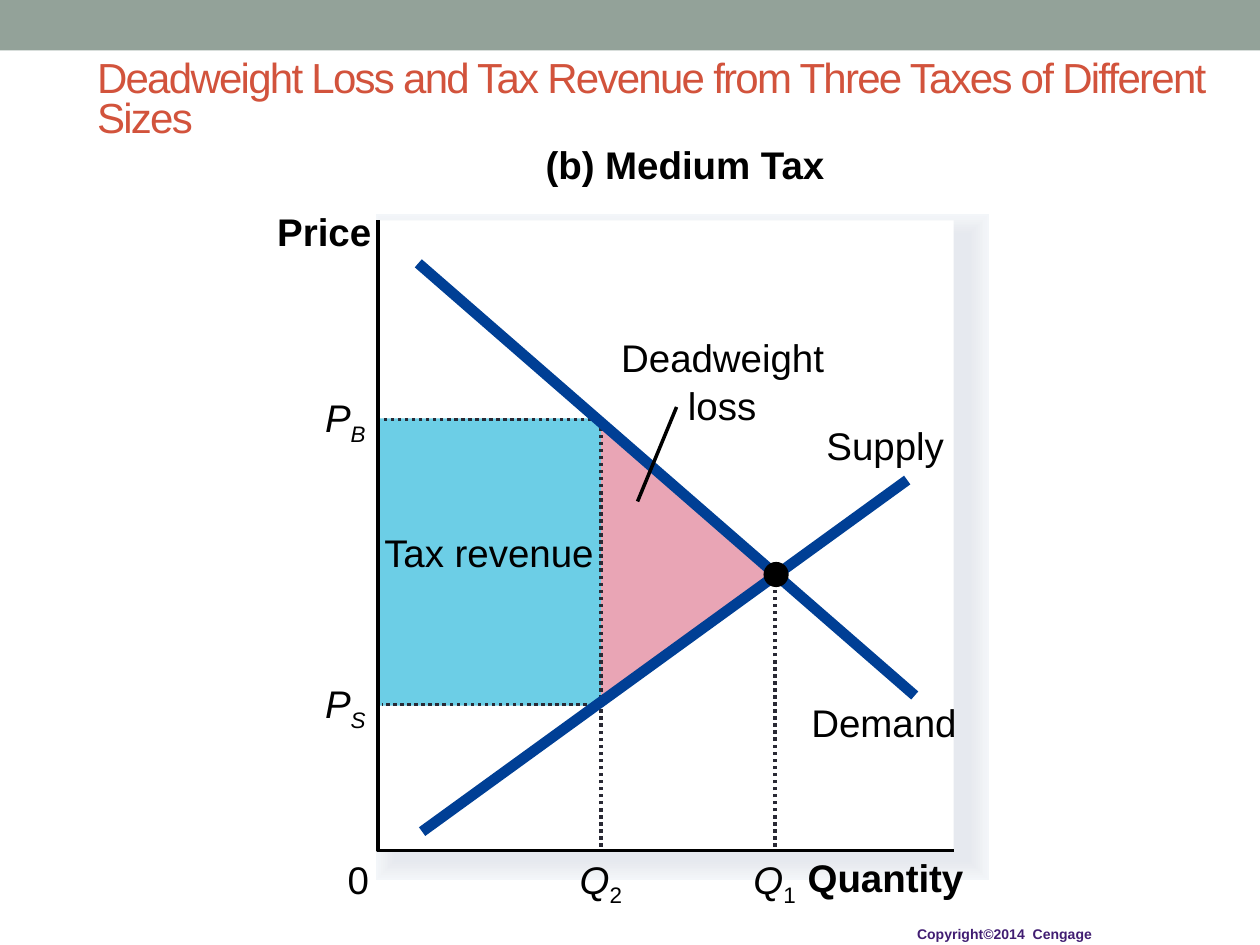
from pptx import Presentation
from pptx.dml.color import RGBColor
from pptx.enum import dml, shapes, text
from pptx.oxml.ns import qn
from pptx.util import Inches, Pt
from lxml import etree

BLACK = RGBColor(0x00, 0x00, 0x00)
WHITE = RGBColor(0xFF, 0xFF, 0xFF)
SAGE = RGBColor(0x93, 0xA2, 0x99)
RED = RGBColor(0xD2, 0x53, 0x3C)
PINK = RGBColor(0xE9, 0xA5, 0xB5)
CYAN = RGBColor(0x6C, 0xCE, 0xE6)
NAVY = RGBColor(0x00, 0x3F, 0x95)
SLATE = RGBColor(0x29, 0x29, 0x34)
PURPLE = RGBColor(0x41, 0x1D, 0x72)
SHADOW = [RGBColor.from_string(code) for code in (
    "F3F6F9 F2F4F8 F1F4F7 F0F2F5 EEF1F4 EDEFF3 EBEEF2 EAECF1 E9EBF0 E7EAEF E6E9EF").split()]

# Key positions in the diagram, in inches
AXIS_X, AXIS_TOP, AXIS_Y, AXIS_RIGHT = 3, 1.75, 6.75, 7.57
Q2_X, Q1_X = 4.77, 6.16
BUYER_Y, SELLER_Y, MARKET_Y = 3.32, 5.6, 4.57
SLACK = 0.04  # spare label width, so that no word breaks

deck = Presentation()
deck.slide_width, deck.slide_height = Inches(10), Inches(7.5)
page = deck.slides.add_slide(deck.slide_layouts[5])


def add_block(kind, left, top, width, height, color):
    block = page.shapes.add_shape(kind, *map(Inches, (left, top, width, height)))
    block.shadow.inherit = False
    block.fill.solid()
    block.fill.fore_color.rgb = color
    block.line.fill.background()
    return block


def add_path(points, color=None, width=2, dotted=False, fill=None):
    points = [(Inches(x), Inches(y)) for x, y in points]
    if len(points) == 2:
        path = page.shapes.add_connector(shapes.MSO_CONNECTOR.STRAIGHT, *points[0], *points[1])
        etree.SubElement(path._element.spPr, qn("a:effectLst"))
    else:
        builder = page.shapes.build_freeform(*points[0])
        builder.add_line_segments(points[1:], close=fill is not None)
        path = builder.convert_to_shape()
        path.shadow.inherit = False
        path.fill.background()
    if fill is not None:
        path.fill.solid()
        path.fill.fore_color.rgb = fill
        path.line.fill.background()
        return
    path.line.color.rgb = color
    path.line.width = Pt(width)
    if dotted:
        path.line.dash_style = dml.MSO_LINE.ROUND_DOT


# Top band
RECTANGLE = shapes.MSO_SHAPE.RECTANGLE
add_block(RECTANGLE, 0, 0, 10, 0.4, SAGE)

# Title
title = page.shapes.title
title.left, title.top, title.width, title.height = map(Inches, (0.67, 0.43, 9, 0.75))
title.text_frame.text = "Deadweight Loss and Tax Revenue from Three Taxes of Different Sizes"
title.text_frame.word_wrap = True
title.text_frame.vertical_anchor = text.MSO_ANCHOR.MIDDLE
para = title.text_frame.paragraphs[0]
para.alignment = text.PP_ALIGN.LEFT
para.line_spacing = 0.8
para.font.name, para.font.size, para.font.color.rgb = "Arial", Pt(24), RED
para.runs[0]._r.get_or_add_rPr().set("spc", "-100")

# Soft shadow: square-cornered outlines that narrow as they darken
for step, color in enumerate(SHADOW):
    frame = add_block(RECTANGLE, 3.14, 1.86, 4.55, 4.97, color)
    frame.line.color.rgb = color
    frame.line.width = Pt(22.63 - 2.06 * step)
    outline = frame._element.spPr.find(qn("a:ln"))
    etree.SubElement(outline, qn("a:miter")).set("lim", "800000")

# Plot area, deadweight loss and tax revenue
add_block(RECTANGLE, AXIS_X, AXIS_TOP, AXIS_RIGHT - AXIS_X, AXIS_Y - AXIS_TOP, WHITE)
add_path([(Q2_X, BUYER_Y), (Q2_X, SELLER_Y), (Q1_X, MARKET_Y)], fill=PINK)
add_block(RECTANGLE, AXIS_X, BUYER_Y, Q2_X - AXIS_X, SELLER_Y - BUYER_Y, CYAN)

# Axes and dotted guides
add_path([(AXIS_X, AXIS_TOP), (AXIS_X, AXIS_Y), (AXIS_RIGHT, AXIS_Y)], BLACK)
add_path([(Q2_X, 6.72), (Q2_X, 3.33), (3.03, 3.33)], SLATE, dotted=True)
add_path([(Q2_X, 5.59), (3.03, 5.59)], SLATE, dotted=True)

# Supply, demand and their crossing
add_path([(7.2, 3.81), (3.35, 6.6)], NAVY, 6.13)
add_path([(3.32, 2.09), (7.26, 5.52)], NAVY, 6.13)
add_path([(6.15, 6.72), (6.15, 4.58)], SLATE, dotted=True)
add_block(shapes.MSO_SHAPE.OVAL, Q1_X - 0.1, MARKET_Y - 0.11, 0.2, 0.2, BLACK)

# Pointer to the deadweight loss
add_path([(5.37, 3.23), (5.06, 3.98)], BLACK)

# Labels: left, top, width, wording, subscript, bold
labels = [
    (4.33, 1.12, 2.25, "(b) Medium Tax", "", True),
    (2.2, 1.65, 0.75, "Price", "", True),
    (6.41, 6.78, 1.24, "Quantity", "", True),
    (2.76, 6.79, 0.17, "0", "", False),
    (3.05, 4.2, 1.7, "Tax revenue", "", False),
    (4.93, 2.65, 1.61, "Deadweight", "", False),
    (5.46, 3.03, 0.54, "loss", "", False),
    (6.56, 3.35, 0.93, "Supply", "", False),
    (6.44, 5.55, 1.16, "Demand", "", False),
    (2.58, 3.13, 0.34, "P", "B", False),
    (2.58, 5.4, 0.34, "P", "S", False),
    (4.6, 6.79, 0.35, "Q", "2", False),
    (5.98, 6.79, 0.35, "Q", "1", False),
]
for left, top, width, wording, subscript, bold in labels:
    box = page.shapes.add_textbox(*map(Inches, (left, top, width + SLACK, 0.37)))
    frame = box.text_frame
    frame.margin_left = frame.margin_right = frame.margin_top = frame.margin_bottom = 0
    frame.word_wrap = False
    frame.auto_size = text.MSO_AUTO_SIZE.SHAPE_TO_FIT_TEXT
    para = frame.paragraphs[0]
    para.font.name, para.font.size, para.font.color.rgb = "Arial", Pt(22), BLACK
    para.font.bold = bold
    span = para.add_run()
    span.text = wording
    if subscript:
        span.font.italic = True
        span = para.add_run()
        span.text = subscript
        span.font.italic = subscript.isalpha()
        span._r.get_or_add_rPr().set("baseline", "-25000")

# Copyright line
box = page.shapes.add_textbox(*map(Inches, (7.18, 7.3, 1.6, 0.24)))
box.text_frame.word_wrap = False
box.text_frame.auto_size = text.MSO_AUTO_SIZE.SHAPE_TO_FIT_TEXT
para = box.text_frame.paragraphs[0]
para.text = "Copyright©2014  Cengage"
para.font.name, para.font.size, para.font.color.rgb = "Arial", Pt(8), PURPLE
para.font.bold = True

deck.save("out.pptx")
